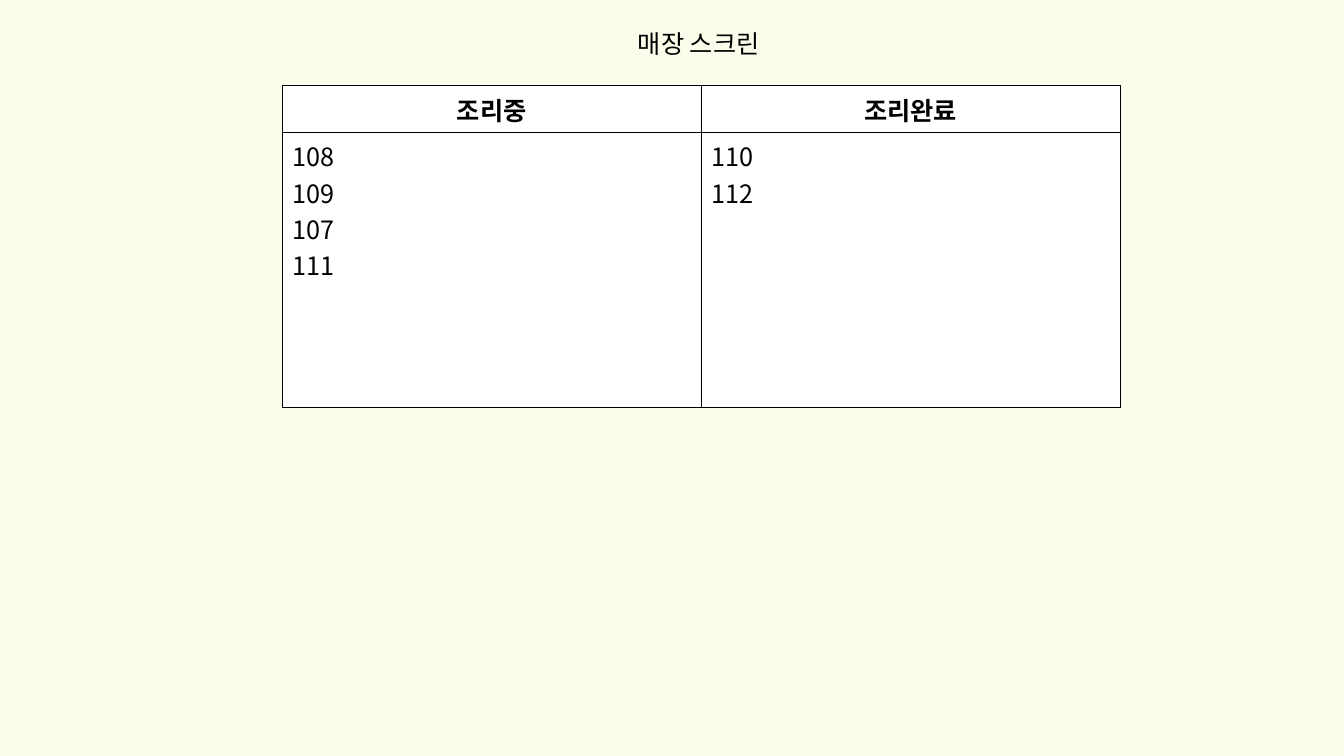
from dataclasses import dataclass
from typing import Any

from lxml.etree import SubElement
from pptx import Presentation
from pptx.dml.color import RGBColor
from pptx.enum.text import MSO_ANCHOR, MSO_AUTO_SIZE, PP_ALIGN
from pptx.oxml.ns import qn
from pptx.util import Inches, Pt

WIDE, HIGH = Inches(13.33), Inches(7.5)


@dataclass(frozen=True)
class Theme:
    font: str = "Noto Sans CJK KR"
    size: int = 18
    line: int = 1
    ink: str = "000000"
    paper: str = "FBFDEA"
    cell: str = "FFFFFF"


@dataclass(frozen=True)
class Box:
    """A place on the slide, in shares of its width and height."""
    left: float
    top: float
    width: float
    height: float

    def place(self) -> tuple[int, int, int, int]:
        return (int(self.left * WIDE), int(self.top * HIGH),
                int(self.width * WIDE), int(self.height * HIGH))


@dataclass(frozen=True)
class Queue:
    head: str
    orders: tuple[str, ...]


THEME = Theme()
TITLE = Box(3.89 / 13.33, 0.23 / 7.5, 6.08 / 13.33, 0.4 / 7.5)
BOARD = Box(2.8 / 13.33, 0.85 / 7.5, 8.31 / 13.33, 3.13 / 7.5)
ROWS = (0.19 / 7.5, 2.73 / 7.5)
QUEUES = (
    Queue("조리중", ("108", "109", "107", "111")),
    Queue("조리완료", ("110", "112")),
)


def write(frame: Any, *lines: str, bold: bool = False,
          align: PP_ALIGN = PP_ALIGN.LEFT) -> None:
    for i, line in enumerate(lines):
        para = frame.add_paragraph() if i else frame.paragraphs[0]
        para.alignment = align
        run = para.add_run()
        run.text = line
        font = run.font
        font.name, font.size, font.bold = THEME.font, Pt(THEME.size), bold
        font.color.rgb = RGBColor.from_string(THEME.ink)
        SubElement(font._element, qn("a:ea"), typeface=THEME.font)


def style(cell: Any) -> None:
    """Give a cell its borders and fill, in the order the schema asks for."""
    props = cell._tc.get_or_add_tcPr()
    for side in ("lnL", "lnR", "lnT", "lnB"):
        edge = SubElement(props, qn(f"a:{side}"), w=str(Pt(THEME.line)))
        fill = SubElement(edge, qn("a:solidFill"))
        SubElement(fill, qn("a:srgbClr"), val=THEME.ink)
    cell.fill.solid()
    cell.fill.fore_color.rgb = RGBColor.from_string(THEME.cell)


def add_title(slide: Any, text: str) -> None:
    title = slide.shapes.title
    title.left, title.top, title.width, title.height = TITLE.place()
    frame = title.text_frame
    frame.word_wrap = True
    frame.auto_size = MSO_AUTO_SIZE.NONE
    frame.vertical_anchor = MSO_ANCHOR.MIDDLE
    write(frame, text, align=PP_ALIGN.CENTER)


def add_board(slide: Any) -> None:
    holder = slide.shapes.add_table(len(ROWS), len(QUEUES), *BOARD.place())
    table = holder.table
    for row, share in zip(table.rows, ROWS):
        row.height = int(share * HIGH)
    holder.height = int(BOARD.height * HIGH)
    for col, queue in enumerate(QUEUES):
        head, body = table.cell(0, col), table.cell(1, col)
        style(head)
        style(body)
        head.vertical_anchor = MSO_ANCHOR.MIDDLE
        write(head.text_frame, queue.head, bold=True, align=PP_ALIGN.CENTER)
        write(body.text_frame, *queue.orders)


def main() -> None:
    deck = Presentation()
    deck.slide_width, deck.slide_height = WIDE, HIGH
    slide = deck.slides.add_slide(deck.slide_layouts[5])
    back = slide.background.fill
    back.solid()
    back.fore_color.rgb = RGBColor.from_string(THEME.paper)
    add_title(slide, "매장 스크린")
    add_board(slide)
    deck.save("out.pptx")


if __name__ == "__main__":
    main()
